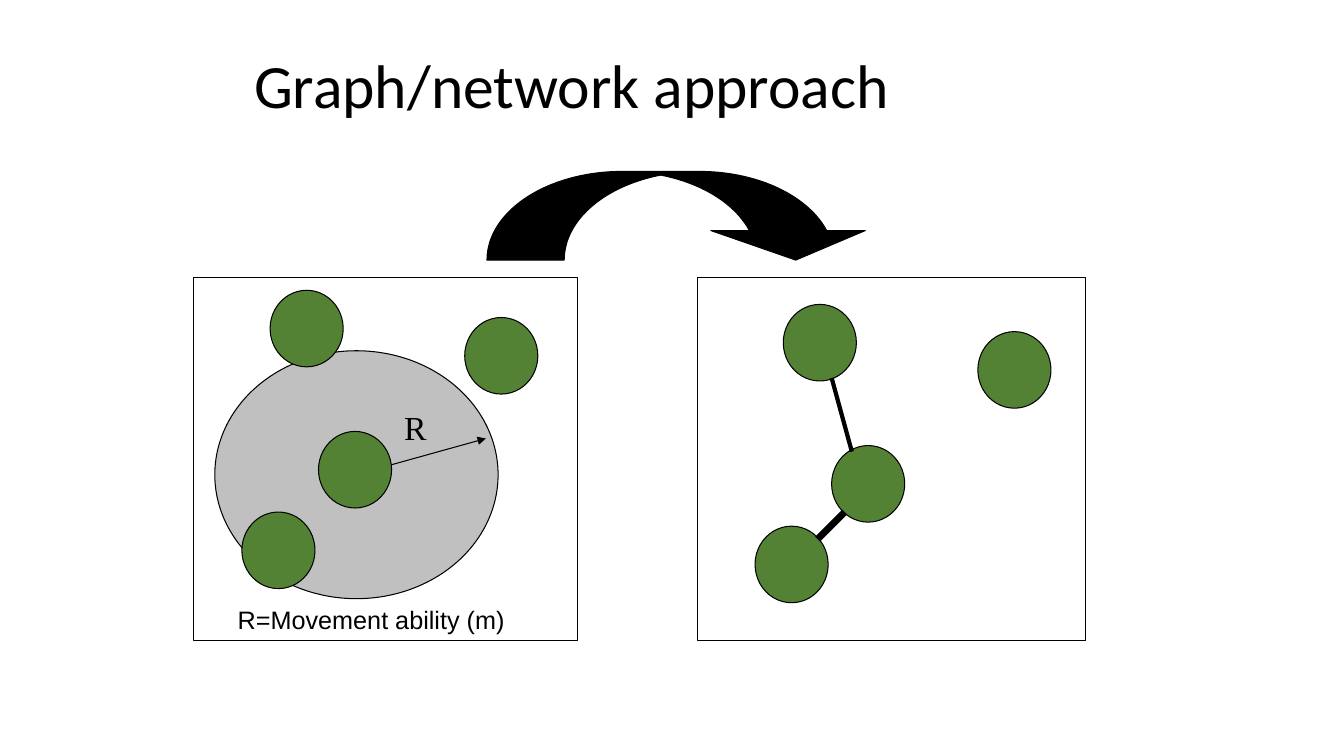
import pptx
import pptx.util
import pptx.dml.color
import pptx.enum.shapes
import pptx.enum.text
import pptx.oxml.ns
import lxml.etree
from dataclasses import dataclass

SLIDE_WIDTH = pptx.util.Inches(13.33)
SLIDE_HEIGHT = pptx.util.Inches(7.5)
SHAPES = pptx.enum.shapes.MSO_SHAPE


@dataclass(frozen=True)
class Theme:
    ink: str = "000000"
    habitat: str = "548235"
    reach: str = "C0C0C0"
    title_font: str = "Calibri"
    caption_font: str = "Arial"
    symbol_font: str = "Times New Roman"
    title_size: float = 44
    caption_size: float = 18
    symbol_size: float = 24
    outline: float = 0.75


THEME = Theme()

PATCH_SIZE = (5.44, 10.13)
PATCHES = {
    "isolated": (34.58, 42),
    "centre": (23.7, 57.07),
    "north": (20.1, 38.4),
    "south": (18, 67.73),
}
NETWORK_SHIFT = (38.18, 1.87)


def across(percent):
    return round(SLIDE_WIDTH * percent / 100)


def down(percent):
    return round(SLIDE_HEIGHT * percent / 100)


def box(left, top, width, height):
    return across(left), down(top), across(width), down(height)


def rgb(color):
    return pptx.dml.color.RGBColor.from_string(color)


def outline(line, weight=THEME.outline):
    line.color.rgb = rgb(THEME.ink)
    line.width = pptx.util.Pt(weight)


def add_figure(slide, preset, place, fill=None):
    figure = slide.shapes.add_shape(preset, *box(*place))
    figure.shadow.inherit = False
    if fill:
        figure.fill.solid()
        figure.fill.fore_color.rgb = rgb(fill)
    else:
        figure.fill.background()
    outline(figure.line)
    return figure


def add_patch(slide, name, shift=(0, 0)):
    left, top = PATCHES[name]
    place = (left + shift[0], top + shift[1], *PATCH_SIZE)
    add_figure(slide, SHAPES.OVAL, place, THEME.habitat)


def add_link(slide, start, end, weight=THEME.outline, arrow=False):
    link = slide.shapes.add_connector(
        pptx.enum.shapes.MSO_CONNECTOR.STRAIGHT,
        across(start[0]), down(start[1]), across(end[0]), down(end[1]))
    outline(link.line, weight)
    properties = link.element.spPr
    if arrow:
        stroke = properties.find(pptx.oxml.ns.qn("a:ln"))
        lxml.etree.SubElement(stroke, pptx.oxml.ns.qn("a:tailEnd"), type="triangle")
    lxml.etree.SubElement(properties, pptx.oxml.ns.qn("a:effectLst"))


def write(frame, wording, font_name, size):
    frame.text = wording
    paragraph = frame.paragraphs[0]
    paragraph.alignment = pptx.enum.text.PP_ALIGN.LEFT
    paragraph.font.name = font_name
    paragraph.font.size = pptx.util.Pt(size)
    paragraph.font.color.rgb = rgb(THEME.ink)
    return paragraph


def add_label(slide, wording, place, font_name, size):
    frame = slide.shapes.add_textbox(*box(*place)).text_frame
    frame.word_wrap = True
    frame.auto_size = pptx.enum.text.MSO_AUTO_SIZE.SHAPE_TO_FIT_TEXT
    write(frame, wording, font_name, size)


def set_title(slide, wording, place):
    title = slide.shapes.title
    title.left, title.top, title.width, title.height = box(*place)
    frame = title.text_frame
    frame.vertical_anchor = pptx.enum.text.MSO_ANCHOR.MIDDLE
    frame.auto_size = pptx.enum.text.MSO_AUTO_SIZE.NONE
    heading = write(frame, wording, THEME.title_font, THEME.title_size)
    heading.line_spacing = 0.9


def draw_landscape(slide):
    add_figure(slide, SHAPES.RECTANGLE, (14.4, 36.67, 28.58, 48))
    add_figure(slide, SHAPES.OVAL, (15.98, 46.4, 21.08, 32.8), THEME.reach)
    add_link(slide, (28.88, 61.6), (36.15, 58), arrow=True)
    for name in PATCHES:
        add_patch(slide, name)
    add_label(slide, "R=Movement ability (m)", (16.95, 79.33, 26.03, 5.33),
              THEME.caption_font, THEME.caption_size)
    add_label(slide, "R", (29.33, 53.2, 3.53, 6.67),
              THEME.symbol_font, THEME.symbol_size)


def draw_network(slide):
    add_figure(slide, SHAPES.RECTANGLE, (51.9, 36.67, 28.88, 48))
    for name in PATCHES:
        add_patch(slide, name, NETWORK_SHIFT)
    add_link(slide, (61.88, 50), (63.38, 59.73), weight=3)
    add_link(slide, (60.83, 71.33), (62.85, 67.73), weight=5)


def draw_transition(slide):
    arrow = add_figure(slide, SHAPES.CURVED_DOWN_ARROW,
                       (36.23, 22.67, 28.73, 11.73), THEME.ink)
    for index, share in enumerate((0.871, 1.742, 0.333)):
        arrow.adjustments[index] = share


def main():
    deck = pptx.Presentation()
    deck.slide_width = SLIDE_WIDTH
    deck.slide_height = SLIDE_HEIGHT
    slide = deck.slides.add_slide(deck.slide_layouts.get_by_name("Title Only"))
    set_title(slide, "Graph/network approach", (18.15, 3.33, 63.75, 16.67))
    draw_landscape(slide)
    draw_network(slide)
    draw_transition(slide)
    deck.save("out.pptx")


if __name__ == "__main__":
    main()
